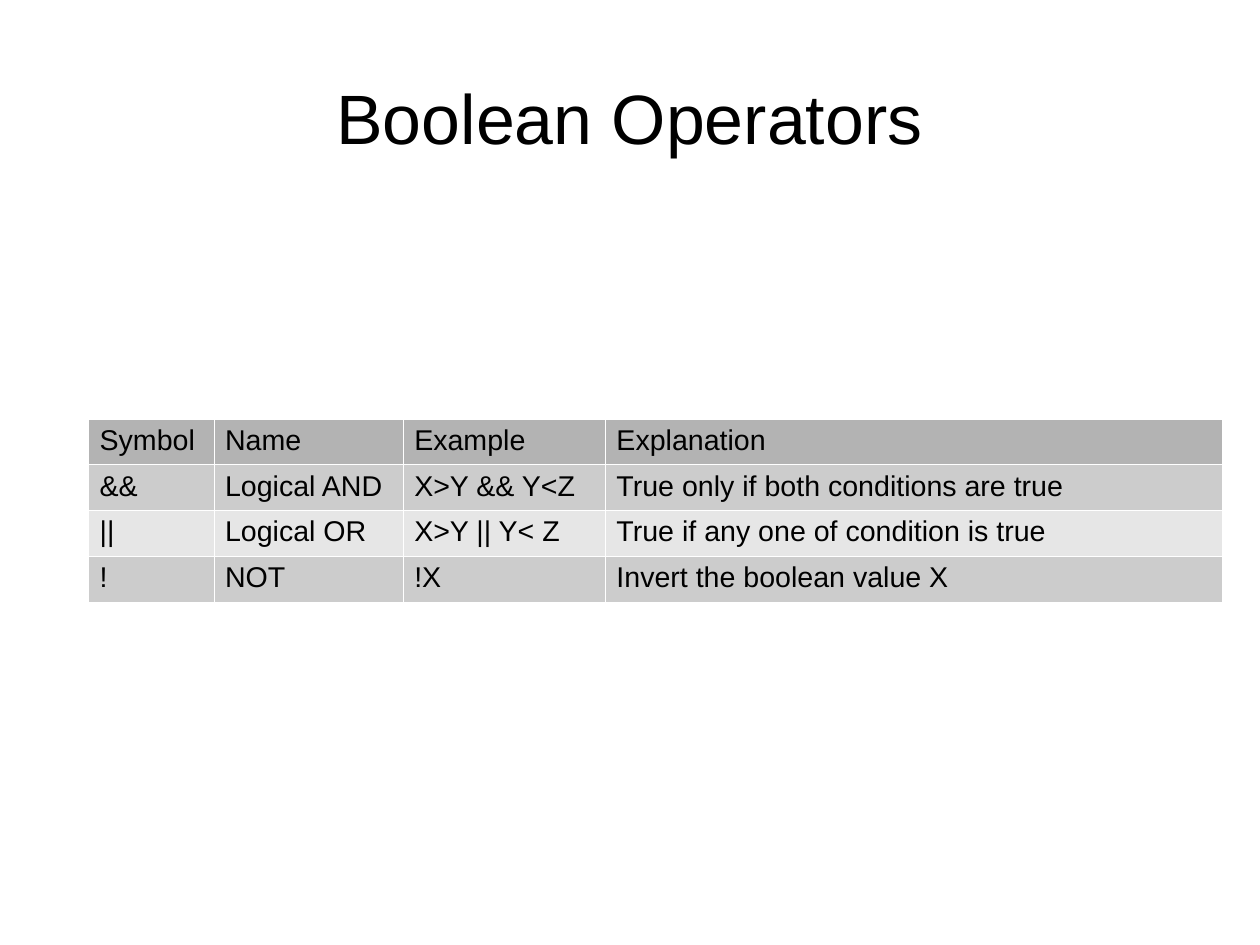
"""Build the slide that lists the boolean operators in a table."""
from lxml import etree
from pptx import Presentation
from pptx import util as u
from pptx.dml.color import RGBColor
from pptx.enum import text
from pptx.oxml.ns import qn

TITLE = "Boolean Operators"
OPERATORS = [
    ("Symbol", "Name", "Example", "Explanation"),
    ("&&", "Logical AND", "X>Y && Y<Z", "True only if both conditions are true"),
    ("||", "Logical OR", "X>Y || Y< Z", "True if any one of condition is true"),
    ("!", "NOT", "!X", "Invert the boolean value X"),
]
COLUMN_WIDTHS = (79, 119.2, 127.4, 388.6)
ROW_HEIGHT = 27.54
HEADER_FILL = "B3B3B3"
BAND_FILLS = ("CCCCCC", "E6E6E6")
BORDER_COLOR, BORDER_WIDTH = "FFFFFF", 0.06


def color(hex_code):
    return RGBColor.from_string(hex_code)


def write(frame, content, size, align=text.PP_ALIGN.LEFT, ink="000000"):
    para = frame.paragraphs[0]
    para.alignment = align
    span = para.add_run()
    span.text = content
    span.font.name = "Arial"
    span.font.size = u.Pt(size)
    span.font.bold = False
    span.font.color.rgb = color(ink)


def add_borders(cell):
    properties = cell._tc.get_or_add_tcPr()
    for position, side in enumerate(("lnL", "lnR", "lnT", "lnB")):
        line = etree.Element(qn("a:" + side), w=str(int(u.Pt(BORDER_WIDTH))))
        fill = etree.SubElement(line, qn("a:solidFill"))
        etree.SubElement(fill, qn("a:srgbClr"), val=BORDER_COLOR)
        properties.insert(position, line)


def add_title(page):
    box = page.shapes.add_textbox(u.Pt(39.6), u.Pt(23.8), u.Pt(714.2), u.Pt(99.4))
    frame = box.text_frame
    frame.word_wrap = True
    frame.vertical_anchor = text.MSO_ANCHOR.MIDDLE
    frame.margin_left = frame.margin_right = 0
    frame.margin_top = frame.margin_bottom = 0
    write(frame, TITLE, 44, align=text.PP_ALIGN.CENTER)


def add_operator_table(page):
    table = page.shapes.add_table(
        len(OPERATORS), len(COLUMN_WIDTHS), u.Pt(55.6), u.Pt(263.7),
        u.Pt(sum(COLUMN_WIDTHS)), u.Pt(ROW_HEIGHT * len(OPERATORS))).table
    for column, width in zip(table.columns, COLUMN_WIDTHS):
        column.width = u.Pt(width)
    for r, entries in enumerate(OPERATORS):
        table.rows[r].height = u.Pt(ROW_HEIGHT)
        for c, entry in enumerate(entries):
            cell = table.cell(r, c)
            cell.fill.solid()
            cell.fill.fore_color.rgb = color(BAND_FILLS[(r - 1) % 2] if r else HEADER_FILL)
            add_borders(cell)
            write(cell.text_frame, entry, 18)


def main():
    deck = Presentation()
    deck.slide_width, deck.slide_height = u.Pt(793.7), u.Pt(595.3)
    page = deck.slides.add_slide(deck.slide_layouts[6])
    add_title(page)
    add_operator_table(page)
    deck.save("out.pptx")


if __name__ == "__main__":
    main()
